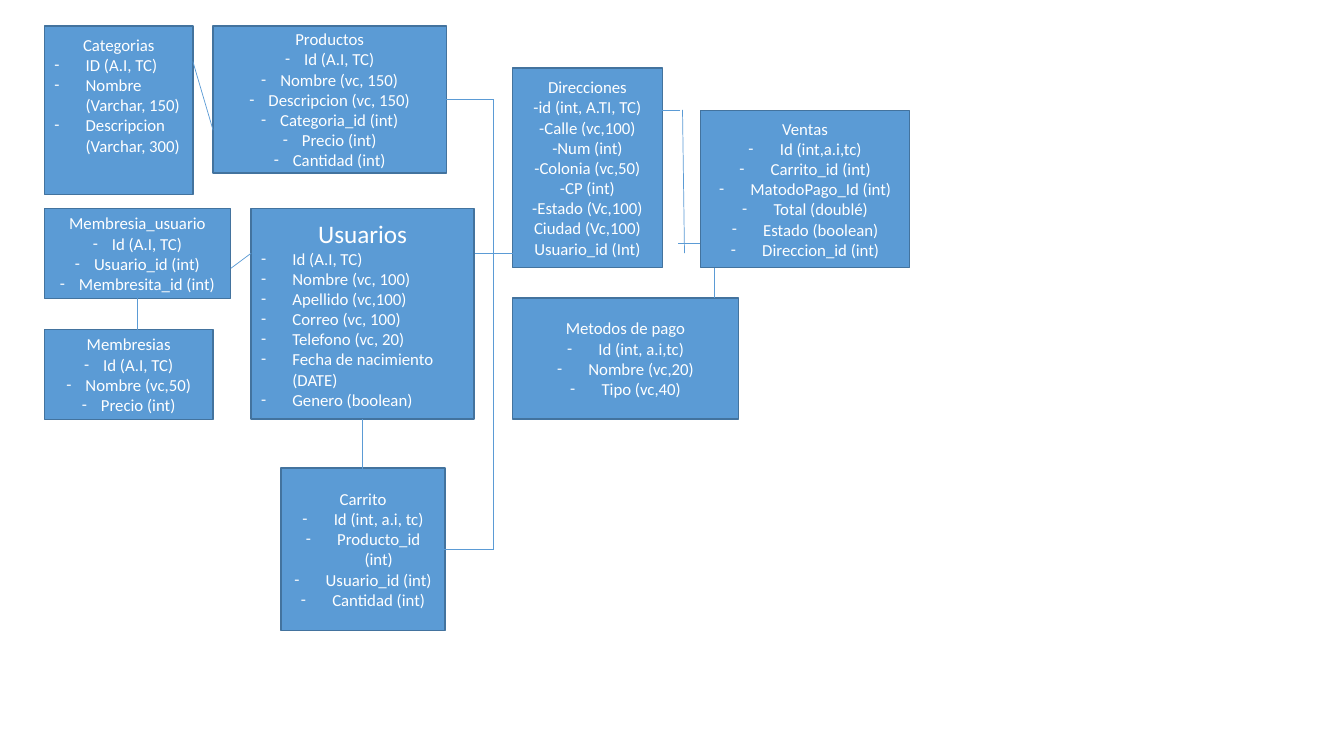
from typing import NamedTuple

from lxml import etree
from pptx import Presentation
from pptx.dml.color import RGBColor
from pptx.enum.shapes import MSO_CONNECTOR, MSO_SHAPE
from pptx.enum.text import MSO_ANCHOR, PP_ALIGN
from pptx.oxml.ns import qn
from pptx.util import Cm, Pt

RECTANGLE = MSO_SHAPE.RECTANGLE
STRAIGHT = MSO_CONNECTOR.STRAIGHT
MIDDLE = MSO_ANCHOR.MIDDLE
LEFT, CENTER = PP_ALIGN.LEFT, PP_ALIGN.CENTER

BLUE = RGBColor(0x5B, 0x9B, 0xD5)
DARK_BLUE = RGBColor(0x43, 0x73, 0x9E)
WHITE = RGBColor(0xFF, 0xFF, 0xFF)
FONT = "Calibri"
BLANK_LAYOUT = 6
WIDE, NARROW = 0.79, 0.48


class Entity(NamedTuple):
    """A database table: its box in centimetres, fields and text format."""

    name: str
    box: tuple
    fields: list
    indent: float = 0
    align: int = CENTER
    name_size: int = 12
    bottom: float = 0.13


ENTITIES = [
    Entity("Categorias", (1.12, 0.66, 3.75, 4.24),
           ["ID (A.I, TC)", "Nombre (Varchar, 150)", "Descripcion (Varchar, 300)"],
           indent=WIDE, align=LEFT, bottom=0.9),
    Entity("Usuarios", (6.33, 5.26, 5.62, 5.3),
           ["Id (A.I, TC)", "Nombre (vc, 100)", "Apellido (vc,100)",
            "Correo (vc, 100)", "Telefono (vc, 20)",
            "Fecha de nacimiento (DATE)", "Genero (boolean)"],
           indent=WIDE, align=LEFT, name_size=18),
    Entity("Membresias", (1.12, 8.31, 4.25, 2.26),
           ["Id (A.I, TC)", "Nombre (vc,50)", "Precio (int)"], indent=NARROW),
    Entity("Membresia_usuario", (1.12, 5.26, 4.69, 2.26),
           ["Id (A.I, TC)", "Usuario_id (int)", "Membresita_id (int)"],
           indent=NARROW),
    Entity("Productos", (5.37, 0.66, 5.88, 3.7),
           ["Id (A.I, TC)", "Nombre (vc, 150)", "Descripcion (vc, 150)",
            "Categoria_id (int)", "Precio (int)", "Cantidad (int)"],
           indent=NARROW),
    Entity("Direcciones", (12.92, 1.71, 3.77, 5.04),
           ["-id (int, A.TI, TC)", "-Calle (vc,100)", "-Num (int)",
            "-Colonia (vc,50)", "-CP (int)", "-Estado (Vc,100)",
            "Ciudad (Vc,100)", "Usuario_id (Int)"]),
    Entity("Metodos de pago", (12.92, 7.51, 5.69, 3.05),
           ["Id (int, a.i,tc)", "Nombre (vc,20)", "Tipo (vc,40)"], indent=WIDE),
    Entity("Ventas", (17.66, 2.78, 5.26, 3.97),
           ["Id (int,a.i,tc)", "Carrito_id (int)", "MatodoPago_Id (int)",
            "Total (doublé)", "Estado (boolean)", "Direccion_id (int)"],
           indent=WIDE),
    Entity("Carrito", (7.08, 11.79, 4.14, 4.1),
           ["Id (int, a.i, tc)", "Producto_id (int)", "Usuario_id (int)",
            "Cantidad (int)"], indent=WIDE),
]

RELATIONS = [
    [(5.82, 6.76), (6.33, 6.38)],
    [(3.45, 7.52), (3.45, 8.31)],
    [(5.37, 3.28), (4.86, 1.55)],
    [(11.96, 6.38), (12.92, 6.38)],
    [(17.65, 6.12), (17.09, 6.12)],
    [(17.25, 6.38), (17.2, 2.77)],
    [(17.15, 2.77), (16.59, 2.77)],
    [(18.01, 7.52), (18.01, 6.76)],
    [(11.25, 2.51), (12.44, 2.51), (12.44, 13.84), (11.2, 13.84)],
    [(9.14, 10.57), (9.14, 12.27)],
]


def write(para, text, size=12, align=CENTER, indent=0):
    """Write text in a paragraph, with a dash bullet if it is indented."""
    para.alignment = align
    span = para.add_run()
    span.text = text
    span.font.name = FONT
    span.font.size = Pt(size)
    span.font.color.rgb = WHITE
    if indent:
        properties = para._p.get_or_add_pPr()
        properties.set("marL", str(Cm(indent)))
        properties.set("indent", str(-Cm(indent)))
        etree.SubElement(properties, qn("a:buFont"), typeface=FONT)
        etree.SubElement(properties, qn("a:buChar"), char="-")


def add_entity(page, entity):
    """Draw the box of one database table with its name and fields."""
    box = page.shapes.add_shape(RECTANGLE, *map(Cm, entity.box))
    box.shadow.inherit = False
    box.fill.solid()
    box.fill.fore_color.rgb = BLUE
    box.line.color.rgb = DARK_BLUE
    box.line.width = Pt(1)
    frame = box.text_frame
    frame.word_wrap = True
    frame.vertical_anchor = MIDDLE
    frame.margin_bottom = Cm(entity.bottom)
    write(frame.paragraphs[0], entity.name, size=entity.name_size)
    for field in entity.fields:
        write(frame.add_paragraph(), field, align=entity.align,
              indent=entity.indent)


def add_relation(page, points):
    """Draw straight connectors through the points in turn."""
    for start, end in zip(points, points[1:]):
        line = page.shapes.add_connector(STRAIGHT, *map(Cm, start + end))
        line.line.color.rgb = BLUE
        line.line.width = Pt(0.5)
        etree.SubElement(line._element.spPr, qn("a:effectLst"))


def main():
    """Build the database diagram and save it."""
    deck = Presentation()
    deck.slide_width, deck.slide_height = Cm(33.87), Cm(19.05)
    page = deck.slides.add_slide(deck.slide_layouts[BLANK_LAYOUT])
    for entity in ENTITIES:
        add_entity(page, entity)
    for points in RELATIONS:
        add_relation(page, points)
    deck.save("out.pptx")


if __name__ == "__main__":
    main()
